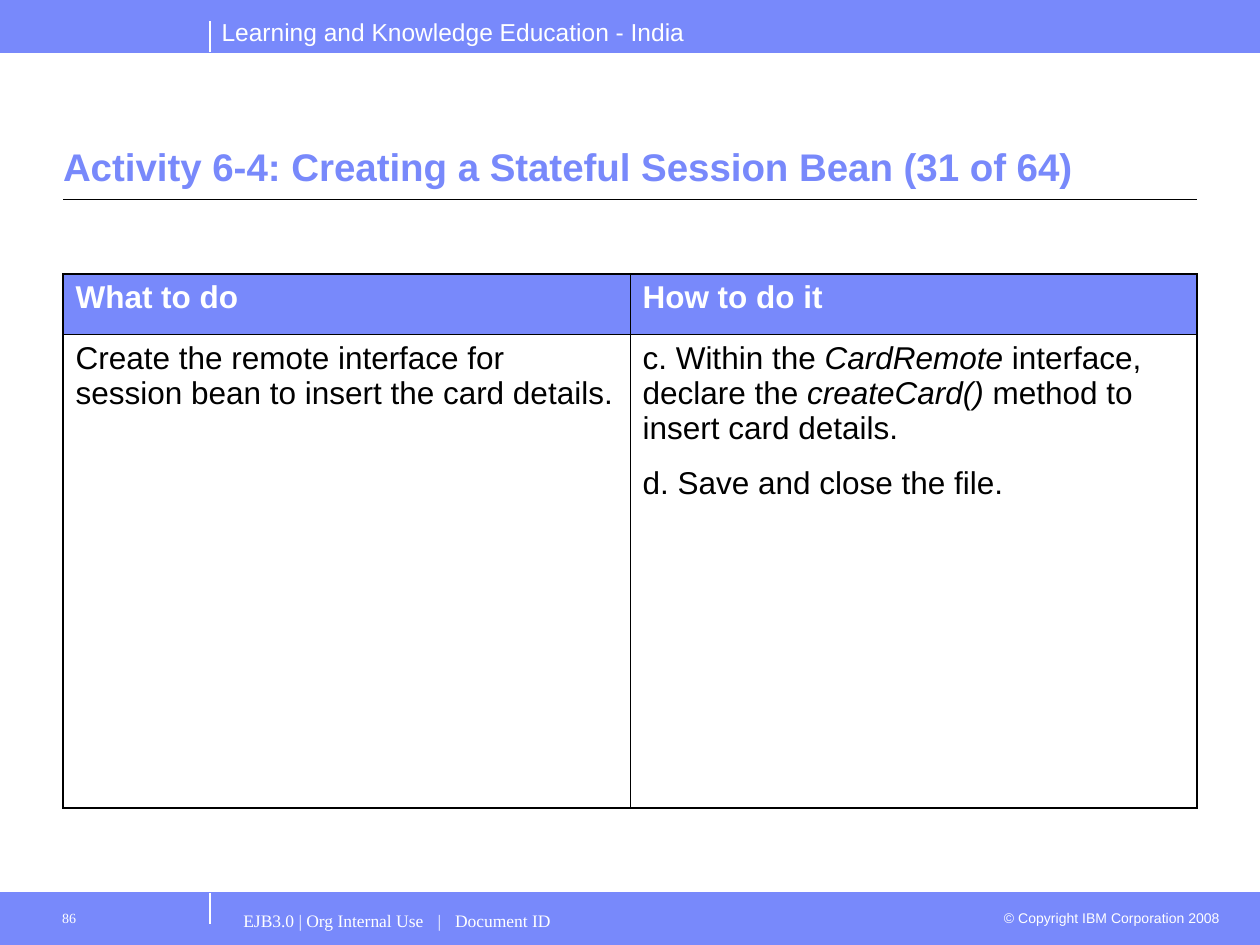
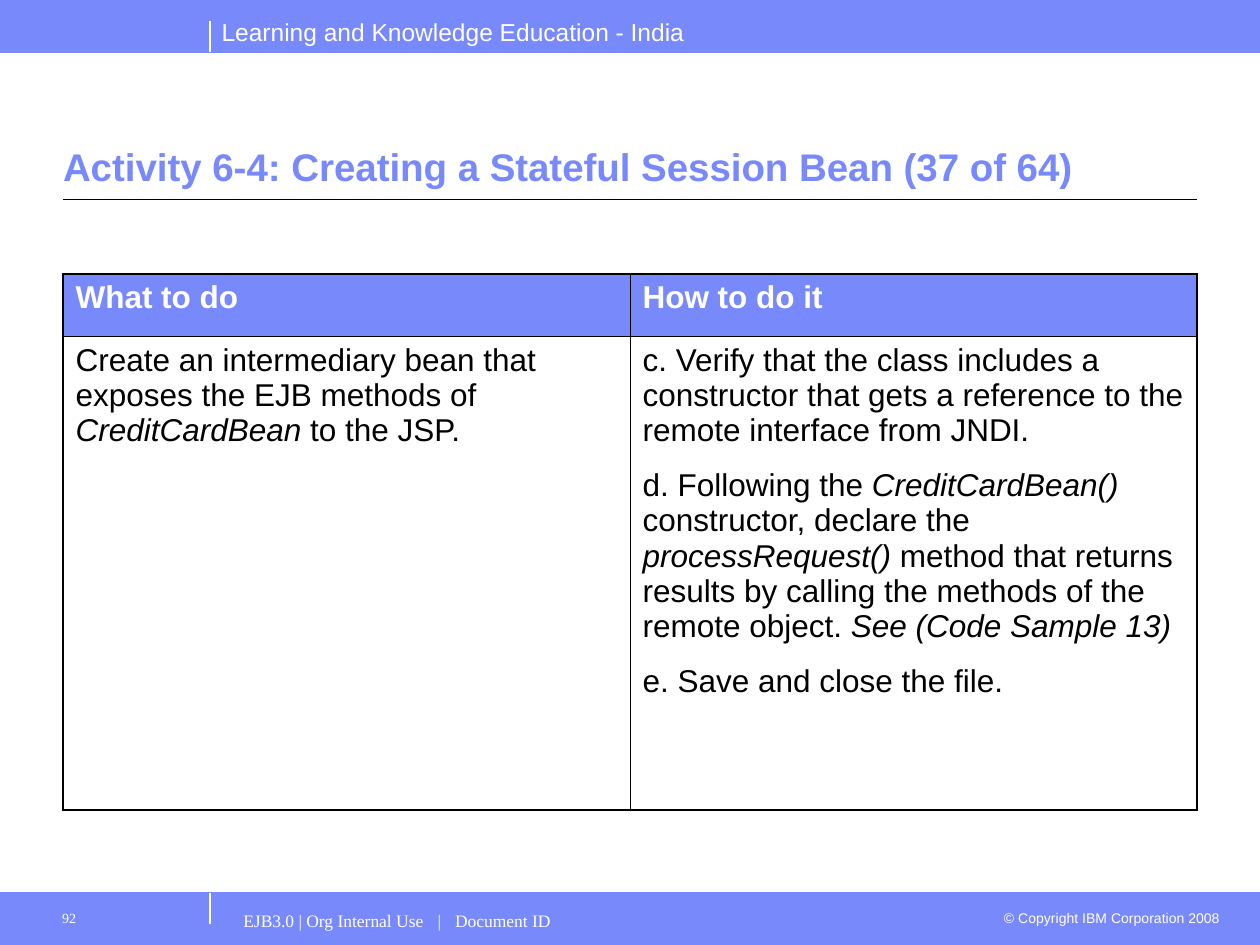
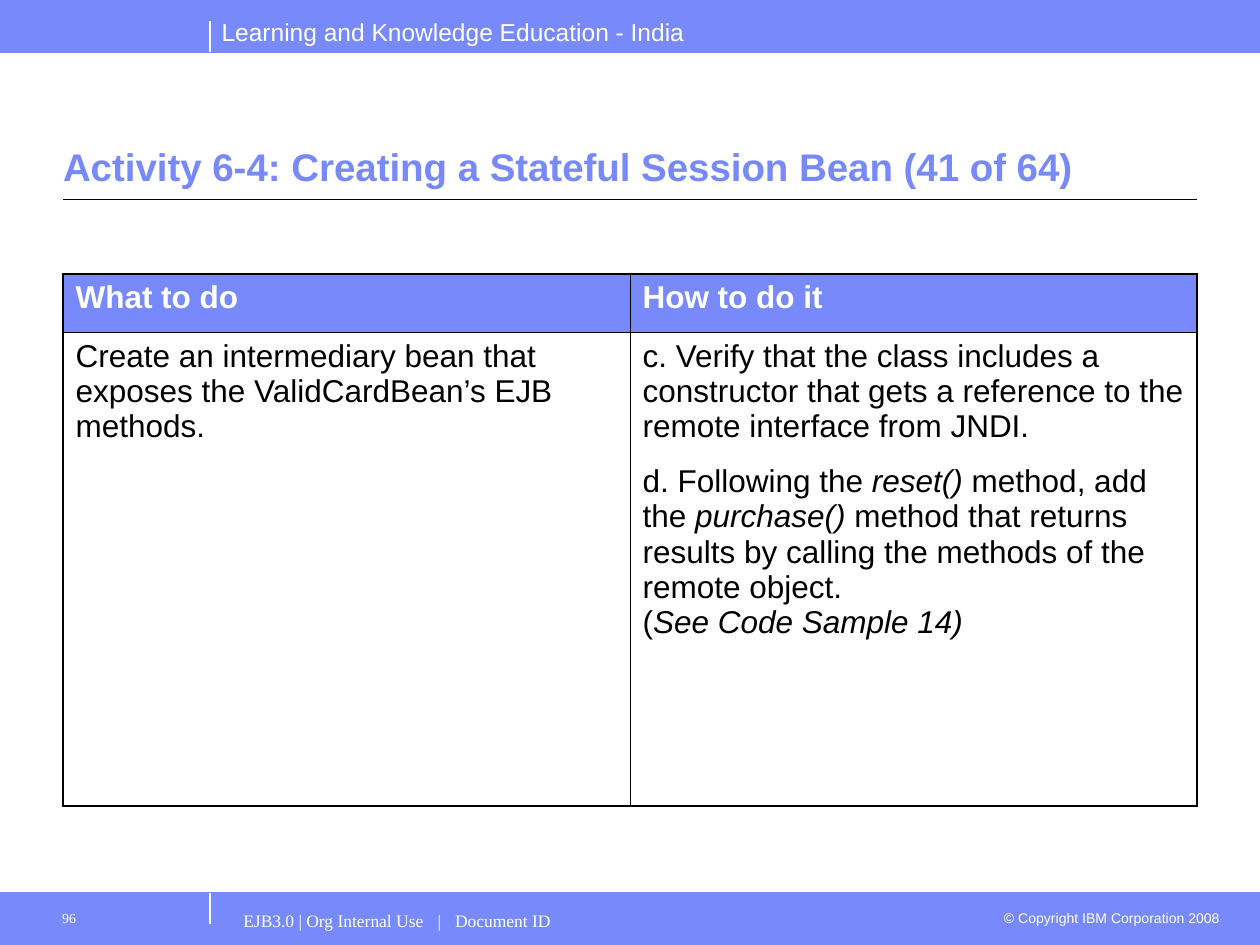
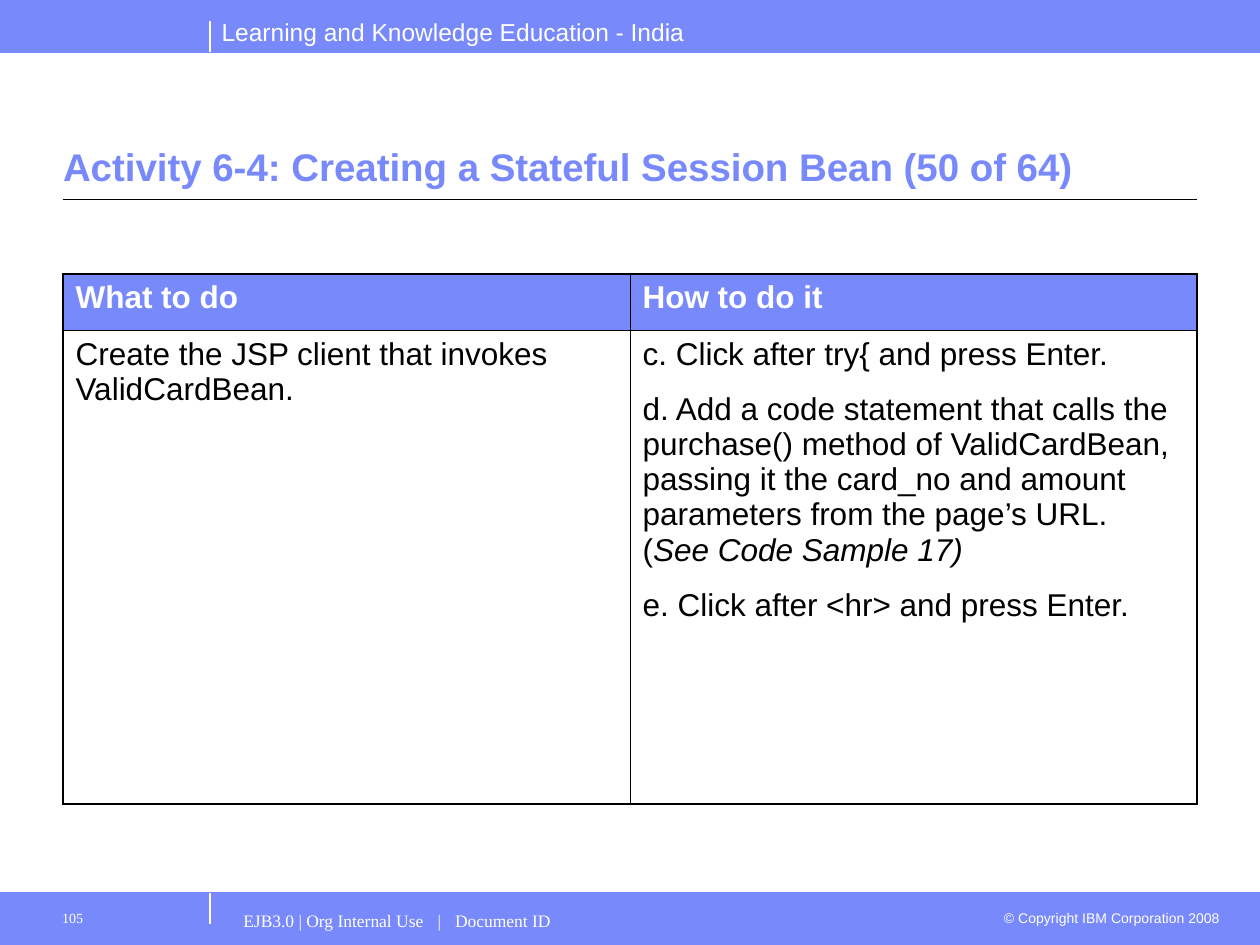
from lxml import etree
from pptx import Presentation
from pptx.dml.color import RGBColor
from pptx.enum import shapes as kinds, text as t
from pptx.oxml.ns import qn
from pptx.util import Pt

HUES = {"blue": "7889FB", "white": "FFFFFF", "black": "000000"}
WIDE, HIGH, BAND = 720, 540, 30
EDGE = 36
COL = (WIDE - 2 * EDGE) / 2
TOP, BODY = 156.6, 270.7
THICK, THIN = 1.08, 0.45
RULE = 120


def style(font, size, hue, face="Arial", bold=False, slant=False):
    font.name, font.size = face, Pt(size)
    font.bold, font.italic = bold, slant
    font.color.rgb = RGBColor.from_string(HUES[hue])


def label(slide, words, box, size, face="Arial", pads=(7.2, 3.6)):
    """Add a white one-line text box; pads are its left and top insets."""
    shape = slide.shapes.add_textbox(*map(Pt, box))
    frame = shape.text_frame
    frame.word_wrap = True
    frame.margin_left, frame.margin_top = map(Pt, pads)
    frame.text = words
    style(frame.paragraphs[0].runs[0].font, size, "white", face)
    return shape


# Page number, step, header row height, task, instructions (*...* is italic)
PAGES = [
    (86, 31, 34.4,
     ["Create the remote interface for session bean to insert the card details."],
     ["c. Within the *CardRemote* interface, declare the *createCard()* method "
      "to insert card details.",
      "d. Save and close the file."]),
    (92, 37, 35.5,
     ["Create an intermediary bean that exposes the EJB methods of "
      "*CreditCardBean* to the JSP."],
     ["c. Verify that the class includes a constructor that gets a reference "
      "to the remote interface from JNDI.",
      "d. Following the *CreditCardBean()* constructor, declare the "
      "*processRequest()* method that returns results by calling the methods "
      "of the remote object. *See (Code Sample 13)*",
      "e. Save and close the file."]),
    (96, 41, 33.3,
     ["Create an intermediary bean that exposes the ValidCardBean’s EJB methods."],
     ["c. Verify that the class includes a constructor that gets a reference "
      "to the remote interface from JNDI.",
      "d. Following the *reset()* method, add the *purchase()* method that "
      "returns results by calling the methods of the remote object.\n"
      "(*See Code Sample 14)*"]),
    (105, 50, 32.2,
     ["Create the JSP client that invokes ValidCardBean."],
     ["c. Click after try{ and press Enter.",
      "d. Add a code statement that calls the purchase() method of "
      "ValidCardBean, passing it the card_no and amount parameters from the "
      "page’s URL.\n(*See Code Sample 17)*",
      "e. Click after <hr> and press Enter."]),
]

deck = Presentation()
deck.slide_width, deck.slide_height = Pt(WIDE), Pt(HIGH)
layout = deck.slide_layouts[5]
for holder in list(layout.placeholders):
    if holder.placeholder_format.type != kinds.PP_PLACEHOLDER.TITLE:
        holder.element.getparent().remove(holder.element)

# Bands, rules and standing text: drawn on the first slide, moved to the layout
first = deck.slides.add_slide(layout)
shared = []
for top in (HIGH - BAND, 0):
    band = first.shapes.add_shape(kinds.MSO_SHAPE.RECTANGLE,
                                  0, Pt(top), Pt(WIDE), Pt(BAND))
    band.shadow.inherit = False
    band.fill.solid()
    band.fill.fore_color.rgb = RGBColor.from_string(HUES["blue"])
    band.line.color.rgb = RGBColor.from_string(HUES["blue"])
    band.line.width = Pt(0.75)
    shared.append(band)

head = label(first, "Learning and Knowledge Education - India",
             (119.5, 6.2, 290, 24.5), 14)
mark = label(first, "© Copyright IBM Corporation 2008", (563.8, 516.2, 140.4, 17.3), 8)
mark.text_frame.paragraphs[0].alignment = t.PP_ALIGN.RIGHT
for shape in (head, mark):
    shape.text_frame.auto_size = t.MSO_AUTO_SIZE.SHAPE_TO_FIT_TEXT
    shared.append(shape)

for x1, y1, x2, y2, hue, width in [
    (RULE, 528, RULE, HIGH - BAND, "white", 0.75),
    (0, BAND, WIDE, BAND, "blue", 0.5),
    (0, HIGH - BAND, WIDE, HIGH - BAND, "blue", 0.5),
    (EDGE, 114, WIDE - EDGE, 114, "black", 0.75),
    (RULE, BAND, RULE, 12, "white", 0.75),
]:
    line = first.shapes.add_connector(kinds.MSO_CONNECTOR.STRAIGHT,
                                      Pt(x1), Pt(y1), Pt(x2), Pt(y2))
    line.line.color.rgb = RGBColor.from_string(HUES[hue])
    line.line.width = Pt(width)
    etree.SubElement(line.element.spPr, qn("a:effectLst"))
    shared.append(line)

tree = layout.element.cSld.spTree
for shape in shared:
    tree.append(shape.element)

for num, step, height, task, guide in PAGES:
    slide = first if num == PAGES[0][0] else deck.slides.add_slide(layout)

    title = slide.shapes.title
    title.left, title.top, title.width, title.height = map(
        Pt, (EDGE, 45.6, WIDE - 2 * EDGE, 66.2))
    frame = title.text_frame
    frame.text = f"Activity 6-4: Creating a Stateful Session Bean ({step} of 64)"
    frame.margin_left = frame.margin_right = 0
    frame.vertical_anchor = t.MSO_ANCHOR.BOTTOM
    frame.auto_size = t.MSO_AUTO_SIZE.NONE
    frame.paragraphs[0].alignment = t.PP_ALIGN.LEFT
    style(frame.paragraphs[0].runs[0].font, 22, "blue", bold=True)

    table = slide.shapes.add_table(2, 2, Pt(EDGE), Pt(TOP), Pt(2 * COL),
                                   Pt(height + BODY)).table
    table.first_row = table.horz_banding = False
    table.rows[0].height, table.rows[1].height = Pt(height), Pt(BODY)
    for col in table.columns:
        col.width = Pt(COL)

    grid = [[["What to do"], ["How to do it"]], [task, guide]]
    for r, row in enumerate(grid):
        for c, paras in enumerate(row):
            cell = table.cell(r, c)
            if r == 0:
                cell.fill.solid()
                cell.fill.fore_color.rgb = RGBColor.from_string(HUES["blue"])
            else:
                cell.fill.background()

            for n, words in enumerate(paras):
                frame = cell.text_frame
                para = frame.add_paragraph() if n else frame.paragraphs[0]
                para.space_after = Pt(11.2)
                for i, part in enumerate(words.split("*")):
                    for j, piece in enumerate(part.split("\n")):
                        if j:
                            para.add_line_break()
                        if piece:
                            run = para.add_run()
                            run.text = piece
                            style(run.font, 18, "black" if r else "white",
                                  bold=r == 0, slant=i % 2 == 1)

            # Thick outer borders, thin inner ones
            props = cell._tc.get_or_add_tcPr()
            outer = {"lnL": c == 0, "lnR": c == 1, "lnT": r == 0, "lnB": r == 1}
            for i, (side, thick) in enumerate(outer.items()):
                edge = etree.Element(qn("a:" + side),
                                     w=str(int(Pt(THICK if thick else THIN))))
                fill = etree.SubElement(edge, qn("a:solidFill"))
                etree.SubElement(fill, qn("a:srgbClr"), val=HUES["black"])
                props.insert(i, edge)

    foot = label(slide, "EJB3.0 | Org Internal Use\t|\tDocument ID",
                 (132, 514.8, 432, 25.2), 10, "Times New Roman", (7.2, 5))
    stops = etree.SubElement(
        foot.text_frame.paragraphs[0]._p.get_or_add_pPr(), qn("a:tabLst"))
    for stop in (111, 121):
        etree.SubElement(stops, qn("a:tab"), pos=str(int(Pt(stop))), algn="l")
    label(slide, str(num), (24, 514.8, 96, 25.2), 8, "Times New Roman", (11.5, 5))

deck.save("out.pptx")
